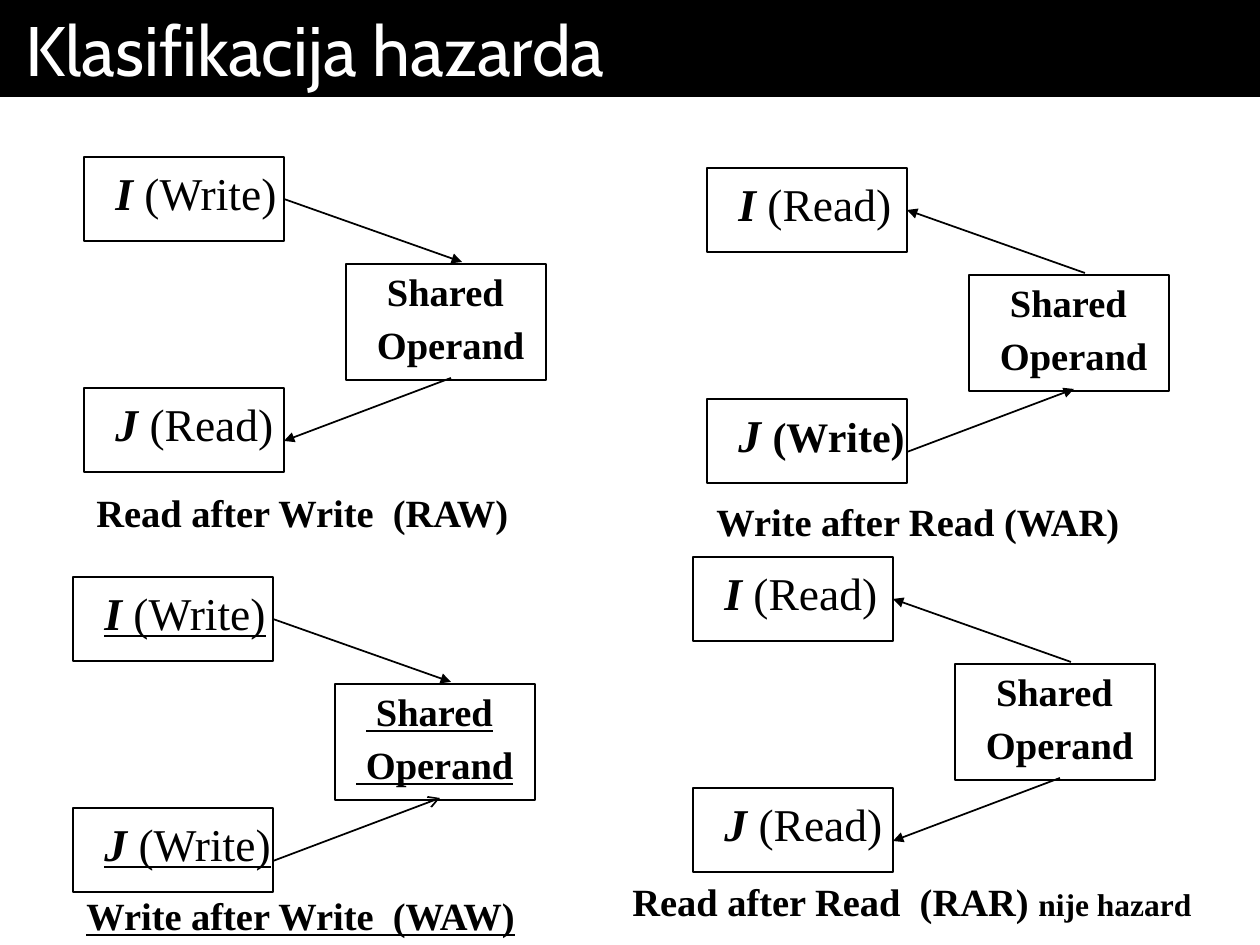
from dataclasses import dataclass

from lxml import etree
from pptx import Presentation
from pptx.dml.color import RGBColor
from pptx.enum import shapes, text
from pptx.oxml.ns import qn
from pptx.util import Emu, Inches, Pt

PX = 914400 // 126


@dataclass(frozen=True)
class Theme:
    black: RGBColor = RGBColor(0, 0, 0)
    white: RGBColor = RGBColor(255, 255, 255)
    title_font: str = "Cabin"
    body_font: str = "Times New Roman"
    title: int = 40
    instruction: int = 26
    strong: int = 24
    body: int = 22
    note: int = 18


THEME = Theme()

# Run styles: size, bold, italic
NAME = (THEME.instruction, True, True)
ACCESS = (THEME.instruction, False, False)
STRONG = (THEME.strong, True, False)
BOLD = (THEME.body, True, False)
NOTE = (THEME.note, True, False)

# Content: labels are (width, runs); arrows are (connector end, arrowhead)
TITLE = "Klasifikacija hazarda"
I_WRITE = (188, [("I", NAME), (" (Write)", ACCESS)])
I_READ = (178, [("I", NAME), (" (Read)", ACCESS)])
J_READ = (183, [("J", NAME), (" (Read)", ACCESS)])
J_WRITE = (193, [("J ", NAME), ("(Write)", ACCESS)])
J_WRITE_STRONG = (192, [("J ", NAME), ("(Write)", STRONG)])
OPERAND = [[(" Shared", BOLD)], [(" Operand", BOLD), (" ", ACCESS)]]
HEAD, TAIL = "a:headEnd", "a:tailEnd"

HAZARDS = [
    dict(origin=(84, 157), first=I_WRITE, second=J_READ, underline=False,
         arrows=[(TAIL, "triangle"), (TAIL, "triangle")],
         caption=(84, 483, 444, [("Read after Write  (RAW)", BOLD)])),
    dict(origin=(707, 168), first=I_READ, second=J_WRITE_STRONG, underline=False,
         arrows=[(HEAD, "triangle"), (HEAD, "triangle")],
         caption=(704, 492, 433, [("Write after Read (WAR)", BOLD)])),
    dict(origin=(73, 577), first=I_WRITE, second=J_WRITE, underline=True,
         arrows=[(TAIL, "triangle"), (HEAD, "arrow")],
         caption=(74, 886, 465, [("Write after Write  (WAW)", BOLD)])),
    dict(origin=(693, 557), first=I_READ, second=J_READ, underline=False,
         arrows=[(HEAD, "triangle"), (TAIL, "triangle")],
         caption=(620, 872, 585, [("Read after Read  (RAR) ", BOLD), ("nije hazard", NOTE)])),
]

# Shared geometry, relative to each hazard's origin
BOX_W, BOX_H, OPERAND_H = 200, 84, 116
SECOND_Y = 231
OPERAND_X, OPERAND_Y = 262, 107
LABEL_DX, LABEL_DY, LABEL_H = 19, 2, 68
OPERAND_TEXT = (271, 105, 193, 113)
SHARED_INDENT = 10
FIRST_ARROW = (200, 42, 378, 105)
SECOND_ARROW = (367, 221, 200, 284)
CAPTION_H = 59


def px(*values):
    return [Emu(value * PX) for value in values]


def add_box(slide, x, y, w, h, fill=None):
    box = slide.shapes.add_shape(shapes.MSO_SHAPE.RECTANGLE, *px(x, y, w, h))
    box.shadow.inherit = False
    if fill is None:
        box.fill.background()
        box.line.color.rgb = THEME.black
        box.line.width = Pt(1)
    else:
        box.fill.solid()
        box.fill.fore_color.rgb = fill
        box.line.fill.background()
    return box


def add_run(paragraph, words, style, face, color, underline=False):
    run = paragraph.add_run()
    run.text = words
    font = run.font
    font.name = face
    font.size, font.bold, font.italic = Pt(style[0]), style[1], style[2]
    font.color.rgb = color
    if underline:
        font.underline = True


def add_text(slide, x, y, w, h, lines, underline):
    frame = slide.shapes.add_textbox(*px(x, y, w, h)).text_frame
    frame.word_wrap = False
    frame.auto_size = text.MSO_AUTO_SIZE.SHAPE_TO_FIT_TEXT
    for index, runs in enumerate(lines):
        paragraph = frame.add_paragraph() if index else frame.paragraphs[0]
        for words, style in runs:
            add_run(paragraph, words, style, THEME.body_font, THEME.black, underline)
    return frame


def add_arrow(slide, x, y, ends, arrow):
    x1, y1, x2, y2 = ends
    line = slide.shapes.add_connector(
        shapes.MSO_CONNECTOR.STRAIGHT, *px(x + x1, y + y1, x + x2, y + y2))
    line.line.color.rgb = THEME.black
    line.line.width = Pt(1)
    end, head = arrow
    properties = line.line._get_or_add_ln()
    etree.SubElement(properties, qn(end), type=head)
    etree.SubElement(properties.getparent(), qn("a:effectLst"))
    return line


def add_title(slide):
    bar = add_box(slide, 0, 0, 1260, 97, THEME.black)
    frame = bar.text_frame
    frame.margin_left = frame.margin_right = Inches(0.2)
    frame.vertical_anchor = text.MSO_ANCHOR.TOP
    frame.word_wrap = True
    paragraph = frame.paragraphs[0]
    paragraph.alignment = text.PP_ALIGN.LEFT
    add_run(paragraph, TITLE, (THEME.title, False, False), THEME.title_font, THEME.white)


def add_hazard(slide, hazard):
    x, y = hazard["origin"]
    underline = hazard["underline"]

    # Instructions I and J
    instructions = []
    for top, (width, runs) in ((y, hazard["first"]), (y + SECOND_Y, hazard["second"])):
        instructions.append(add_box(slide, x, top, BOX_W, BOX_H))
        add_text(slide, x + LABEL_DX, top + LABEL_DY, width, LABEL_H, [runs], underline)

    # Shared operand
    add_box(slide, x + OPERAND_X, y + OPERAND_Y, BOX_W, OPERAND_H)
    dx, dy, width, height = OPERAND_TEXT
    frame = add_text(slide, x + dx, y + dy, width, height, OPERAND, underline)
    frame.paragraphs[0]._p.get_or_add_pPr().set("marL", str(SHARED_INDENT * PX))

    # Data flow and caption
    first_arrow, second_arrow = hazard["arrows"]
    add_arrow(slide, x, y, FIRST_ARROW, first_arrow).begin_connect(instructions[0], 3)
    add_arrow(slide, x, y, SECOND_ARROW, second_arrow)
    left, top, width, runs = hazard["caption"]
    add_text(slide, left, top, width, CAPTION_H, [runs], underline)


def main():
    deck = Presentation()
    deck.slide_width, deck.slide_height = Inches(10), Inches(7.5)
    slide = deck.slides.add_slide(deck.slide_layouts[6])
    add_title(slide)
    for hazard in HAZARDS:
        add_hazard(slide, hazard)
    deck.save("out.pptx")


if __name__ == "__main__":
    main()
